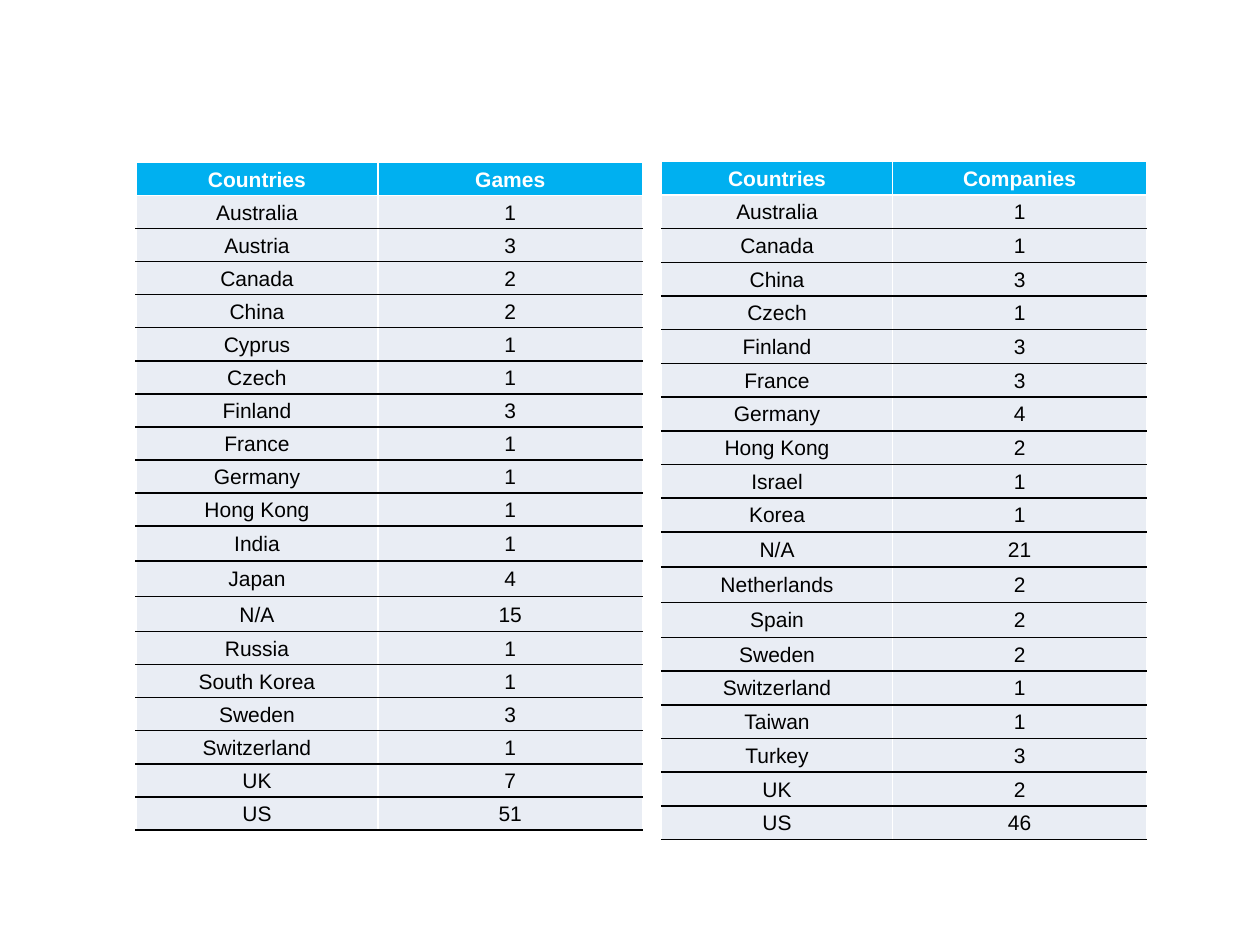
from dataclasses import dataclass

from pptx import Presentation
from pptx.dml.color import RGBColor as RGB
from pptx.enum.text import MSO_ANCHOR as ANCHOR, PP_ALIGN as ALIGN
from pptx.oxml import parse_xml
from pptx.oxml.ns import nsdecls
from pptx.util import Inches, Pt


@dataclass(frozen=True)
class Theme:
    """Colours, type and line sizes of the slide."""
    header: str = "00B0F0"
    body: str = "E9EDF4"
    ink: str = "000000"
    paper: str = "FFFFFF"
    font: str = "Arial"
    size: int = 12
    line: int = 1


CELL = {"vertical_anchor": ANCHOR.MIDDLE, "margin_left": Inches(0.01),
        "margin_right": Inches(0.01), "margin_top": Inches(0.01), "margin_bottom": 0}
TALL_ROWS = (11, 12, 13)
TALL = 3.73

GAMES = [("Countries", "Games"), ("Australia", 1), ("Austria", 3), ("Canada", 2),
         ("China", 2), ("Cyprus", 1), ("Czech", 1), ("Finland", 3), ("France", 1),
         ("Germany", 1), ("Hong Kong", 1), ("India", 1), ("Japan", 4), ("N/A", 15),
         ("Russia", 1), ("South Korea", 1), ("Sweden", 3), ("Switzerland", 1),
         ("UK", 7), ("US", 51)]
COMPANIES = [("Countries", "Companies"), ("Australia", 1), ("Canada", 1), ("China", 3),
             ("Czech", 1), ("Finland", 3), ("France", 3), ("Germany", 4),
             ("Hong Kong", 2), ("Israel", 1), ("Korea", 1), ("N/A", 21),
             ("Netherlands", 2), ("Spain", 2), ("Sweden", 2), ("Switzerland", 1),
             ("Taiwan", 1), ("Turkey", 3), ("UK", 2), ("US", 46)]


def apply(target, values):
    """Set each named attribute on the target."""
    for name, value in values.items():
        setattr(target, name, value)


class Deck:
    """Holds the theme and current slide; lengths are percent of the slide."""

    def __init__(self, prs, theme):
        self.prs, self.theme = prs, theme
        self.slide = prs.slides.add_slide(prs.slide_layouts[6])

    def x(self, share):
        return round(self.prs.slide_width * share / 100)

    def y(self, share):
        return round(self.prs.slide_height * share / 100)

    def borders(self, cell, top, bottom):
        tc_pr = cell._tc.get_or_add_tcPr()
        sides = {"L": self.theme.paper, "R": self.theme.paper, "T": top, "B": bottom}
        for side, color in sides.items():
            tc_pr.append(parse_xml(
                f'<a:ln{side} {nsdecls("a")} w="{Pt(self.theme.line)}"><a:solidFill>'
                f'<a:srgbClr val="{color}"/></a:solidFill></a:ln{side}>'))

    def cell(self, cell, text, row):
        t, head = self.theme, row == 0
        self.borders(cell, t.paper if row < 2 else t.ink, t.paper if head else t.ink)
        apply(cell, CELL)
        cell.fill.solid()
        cell.fill.fore_color.rgb = RGB.from_string(t.header if head else t.body)
        p = cell.text_frame.paragraphs[0]
        p.alignment = ALIGN.CENTER
        r = p.add_run()
        r.text = str(text)
        apply(r.font, {"name": t.font, "size": Pt(t.size), "bold": head})
        r.font.color.rgb = RGB.from_string(t.paper if head else t.ink)

    def table(self, rows, left, top, widths, height):
        sp = self.slide.shapes.add_table(len(rows), len(widths), self.x(left), self.y(top),
                                         self.x(sum(widths)), self.y(height))
        tbl = sp.table
        apply(tbl, {"first_row": False, "horz_banding": False})
        for col, width in zip(tbl.columns, widths):
            col.width = self.x(width)
        normal = (height - TALL * len(TALL_ROWS)) / (len(rows) - len(TALL_ROWS))
        for i, values in enumerate(rows):
            tbl.rows[i].height = self.y(TALL if i in TALL_ROWS else normal)
            for j, value in enumerate(values):
                self.cell(tbl.cell(i, j), value, i)


def main():
    prs = Presentation()
    apply(prs, {"slide_width": Inches(10), "slide_height": Inches(7.5)})
    deck = Deck(prs, Theme())
    deck.table(GAMES, 10.8, 17.2, (19.2, 21), 70.67)
    deck.table(COMPANIES, 52.5, 17.07, (18.35, 20.15), 71.87)
    prs.save("out.pptx")


if __name__ == "__main__":
    main()
